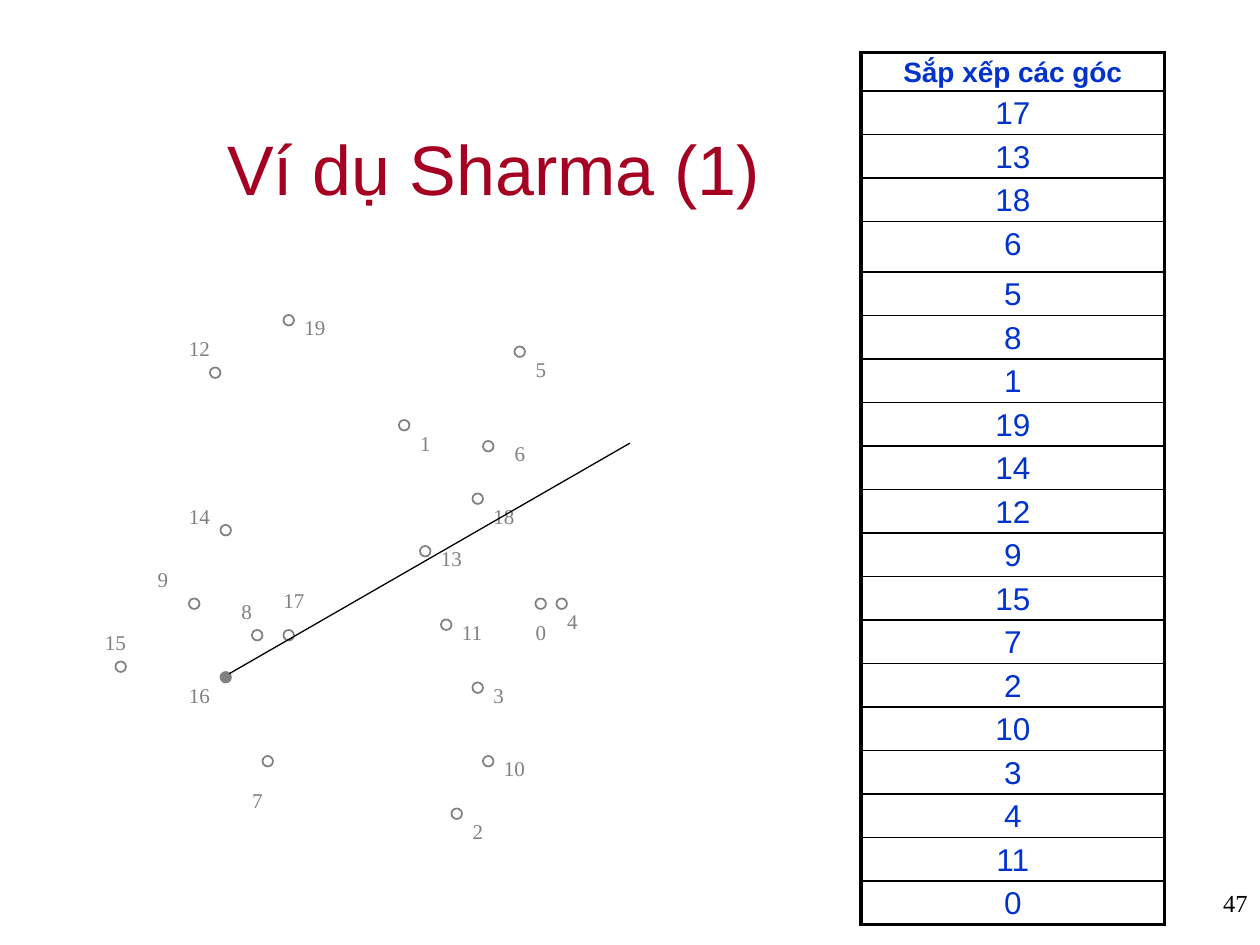
from dataclasses import dataclass

from lxml import etree
from pptx import Presentation
from pptx.dml.color import RGBColor
from pptx.enum.shapes import MSO_CONNECTOR, MSO_SHAPE
from pptx.enum.text import MSO_ANCHOR, MSO_AUTO_SIZE, PP_ALIGN
from pptx.oxml.ns import qn
from pptx.util import Pt

LEFT, CENTER, RIGHT = PP_ALIGN.LEFT, PP_ALIGN.CENTER, PP_ALIGN.RIGHT
TOP, MIDDLE = MSO_ANCHOR.TOP, MSO_ANCHOR.MIDDLE
FIT_SHAPE = MSO_AUTO_SIZE.SHAPE_TO_FIT_TEXT
OVAL, STRAIGHT = MSO_SHAPE.OVAL, MSO_CONNECTOR.STRAIGHT

GRID = 6
PIVOT = 16
POINTS = {
    16: ((21, 64), (18, 65)),
    7: ((25, 72), (24, 75)),
    2: ((43, 77), (45, 78)),
    3: ((45, 65), (47, 65)),
    10: ((46, 72), (48, 72)),
    17: ((27, 60), (27, 56)),
    8: ((24, 60), (23, 57)),
    11: ((42, 59), (44, 59)),
    0: ((51, 57), (51, 59)),
    4: ((53, 57), (54, 58)),
    13: ((40, 52), (42, 52)),
    18: ((45, 47), (47, 48)),
    6: ((46, 42), (49, 42)),
    15: ((11, 63), (10, 60)),
    9: ((18, 57), (15, 54)),
    14: ((21, 50), (18, 48)),
    12: ((20, 35), (18, 32)),
    1: ((38, 40), (40, 41)),
    5: ((49, 33), (51, 34)),
    19: ((27, 30), (29, 30)),
}
ANGLE_ORDER = [17, 13, 18, 6, 5, 8, 1, 19, 14, 12, 9, 15, 7, 2, 10, 3, 4, 11, 0]
HEADER_HEIGHT, ROW_HEIGHT = 22, 24.86
TALL_ROWS = {6: 28.8}


@dataclass(frozen=True)
class Theme:
    """Colours and type styles of the slide."""

    ink: str = "000000"
    point: str = "808080"
    title: tuple = ("Arial", 40, False, "A50021")
    header: tuple = ("Arial", 16, True, "0033CC")
    angle: tuple = ("Arial", 18, False, "0033CC")
    label: tuple = ("Times New Roman", 12, False, "808080")
    number: tuple = ("Times New Roman", 14, False, "000000")


class SlideBuilder:
    """Draws styled elements on the current slide."""

    def __init__(self, slide, theme):
        self.slide = slide
        self.theme = theme
        self.diagram = slide.shapes.add_group_shape()

    def set_text(self, frame, text, style, align=LEFT, spacing=None):
        """Fill a text frame with one styled paragraph."""
        paragraph = frame.paragraphs[0]
        paragraph.alignment, paragraph.line_spacing = align, spacing
        run = paragraph.add_run()
        run.text = text
        name, size, bold, color = style
        for key, value in {"name": name, "size": Pt(size), "bold": bold}.items():
            setattr(run.font, key, value)
        run.font.color.rgb = RGBColor.from_string(color)

    def title(self, text, left, top, width, height):
        """Place and fill the title placeholder."""
        heading = self.slide.shapes.title
        place = {"left": left, "top": top, "width": width, "height": height}
        for key, value in place.items():
            setattr(heading, key, Pt(value))
        heading.text_frame.vertical_anchor = MIDDLE
        self.set_text(heading.text_frame, text, self.theme.title, CENTER)

    def page_number(self, text, left, top, width, height):
        """Add the right-aligned page number."""
        box = self.slide.shapes.add_textbox(Pt(left), Pt(top), Pt(width), Pt(height))
        box.text_frame.word_wrap = True
        self.set_text(box.text_frame, text, self.theme.number, RIGHT)

    def point(self, column, row, solid):
        """Add a point at a grid position."""
        dot = self.diagram.shapes.add_shape(
            OVAL, Pt(column * GRID), Pt(row * GRID), Pt(GRID), Pt(GRID))
        dot.shadow.inherit = False
        color = RGBColor.from_string(self.theme.point)
        if solid:
            dot.fill.solid()
            dot.fill.fore_color.rgb = color
        else:
            dot.fill.background()
        dot.line.color.rgb = color
        dot.line.width = Pt(1)

    def label(self, text, column, row):
        """Add a point label at a grid position."""
        box = self.diagram.shapes.add_textbox(
            Pt(column * GRID), Pt(row * GRID), Pt(len(text) * GRID), Pt(14.4))
        frame = box.text_frame
        layout = {"margin_left": 0, "margin_top": 0, "margin_right": 0,
                  "margin_bottom": 0, "word_wrap": False, "auto_size": FIT_SHAPE}
        for key, value in layout.items():
            setattr(frame, key, value)
        self.set_text(frame, text, self.theme.label)

    def ray(self, start, end):
        """Add a thin straight line."""
        line = self.slide.shapes.add_connector(
            STRAIGHT, *(Pt(value) for value in (*start, *end)))
        line.line.color.rgb = RGBColor.from_string(self.theme.ink)
        line.line.width = Pt(0.75)
        etree.SubElement(line._element.spPr, qn("a:effectLst"))

    def borders(self, cell, widths):
        """Set the left, right, top and bottom borders of a cell."""
        properties = cell._tc.get_or_add_tcPr()
        for index, (side, width) in enumerate(zip("LRTB", widths)):
            edge = etree.Element(qn(f"a:ln{side}"), w=str(Pt(width)))
            fill = etree.SubElement(edge, qn("a:solidFill"))
            etree.SubElement(fill, qn("a:srgbClr"), val=self.theme.ink)
            properties.insert(index, edge)

    def angle_table(self, header, angles, left, top, width):
        """Add the one-column table of sorted angles."""
        heights = [HEADER_HEIGHT] + [TALL_ROWS.get(a, ROW_HEIGHT) for a in angles]
        table = self.slide.shapes.add_table(
            len(heights), 1, Pt(left), Pt(top), Pt(width), Pt(sum(heights))).table
        table.first_row = table.horz_banding = False
        layout = {"margin_left": 0, "margin_top": 0, "margin_right": 0,
                  "margin_bottom": 0, "vertical_anchor": TOP}
        last = len(angles)
        for index, (text, height) in enumerate(zip([header, *angles], heights)):
            table.rows[index].height = Pt(height)
            cell = table.cell(index, 0)
            for key, value in layout.items():
                setattr(cell, key, value)
            cell.fill.background()
            self.borders(cell, (2.25, 2.25, 1 if index else 2.25,
                                2.25 if index == last else 1))
            style = self.theme.angle if index else self.theme.header
            self.set_text(cell.text_frame, str(text), style, CENTER, 1.15)


def main():
    """Build and save the slide."""
    deck = Presentation()
    deck.slide_width, deck.slide_height = Pt(720), Pt(540)
    builder = SlideBuilder(deck.slides.add_slide(deck.slide_layouts[5]), Theme())
    builder.page_number("47", 570, 504, 150, 36)
    builder.title("Ví dụ Sharma (1)", 30, 60, 504, 72)
    for number, (position, _) in POINTS.items():
        builder.point(*position, solid=number == PIVOT)
    for number, (_, position) in POINTS.items():
        builder.label(str(number), *position)
    builder.angle_table("Sắp xếp các góc", ANGLE_ORDER, 492, 30, 173.5)
    builder.ray((131, 385), (360, 253.2))
    deck.save("out.pptx")


if __name__ == "__main__":
    main()
